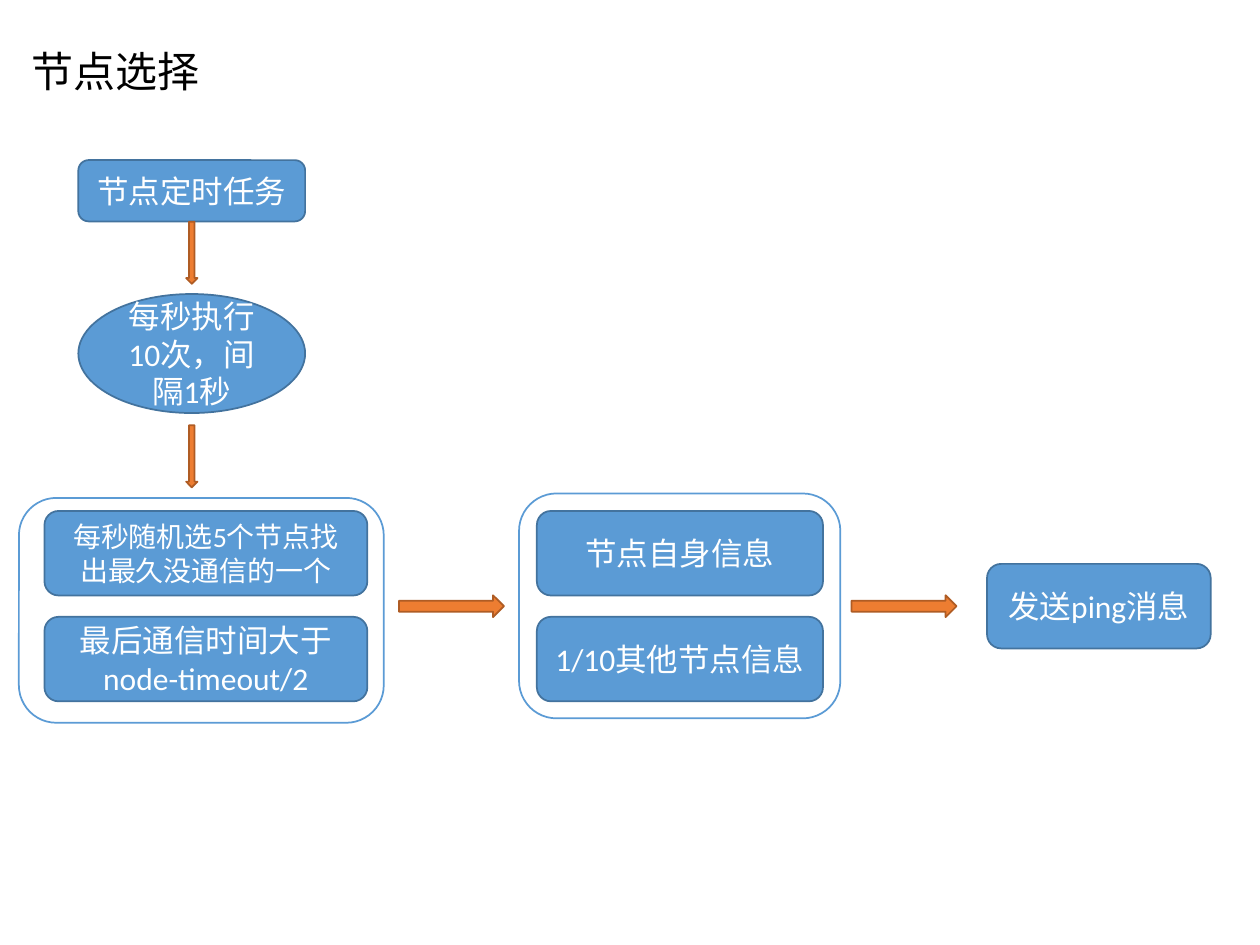
from lxml.etree import SubElement
from pptx import Presentation
from pptx.dml.color import RGBColor
from pptx.enum.shapes import MSO_SHAPE
from pptx.enum.text import MSO_ANCHOR, PP_ALIGN
from pptx.oxml.ns import qn
from pptx.util import Pt

WHITE = RGBColor(0xFF, 0xFF, 0xFF)
BLACK = RGBColor(0x00, 0x00, 0x00)
BLUE = RGBColor(0x5B, 0x9B, 0xD5)
DARK_BLUE = RGBColor(0x43, 0x73, 0x9E)
ORANGE = RGBColor(0xED, 0x7D, 0x31)
DARK_ORANGE = RGBColor(0xAF, 0x5C, 0x24)

LATIN_FONT = "Calibri"
CHINESE_FONT = "Noto Sans CJK SC"


def write_text(frame, text, size=18, color=WHITE, font=LATIN_FONT,
               align=PP_ALIGN.CENTER, anchor=MSO_ANCHOR.MIDDLE):
    frame.word_wrap = True
    frame.vertical_anchor = anchor
    para = frame.paragraphs[0]
    para.alignment = align
    span = para.add_run()
    span.text = text
    span.font.size = Pt(size)
    span.font.color.rgb = color
    span.font.name = font
    SubElement(span.font._element, qn("a:ea")).set("typeface", CHINESE_FONT)


class FlowPage:
    """Holds the current slide and draws the flow chart's elements, in points."""

    def __init__(self, deck):
        self.page = deck.slides.add_slide(deck.slide_layouts[5])

    def title(self, text, left, top, width, height):
        box = self.page.shapes.title
        box.left, box.top = Pt(left), Pt(top)
        box.width, box.height = Pt(width), Pt(height)
        write_text(box.text_frame, text, size=24, color=BLACK, font=CHINESE_FONT,
                   align=PP_ALIGN.LEFT, anchor=MSO_ANCHOR.TOP)

    def shape(self, kind, left, top, width, height, fill, line):
        box = self.page.shapes.add_shape(kind, Pt(left), Pt(top), Pt(width), Pt(height))
        box.shadow.inherit = False
        box.fill.solid()
        box.fill.fore_color.rgb = fill
        box.line.color.rgb = line
        box.line.width = Pt(1)
        return box

    def step(self, text, left, top, width, height, size=18,
             kind=MSO_SHAPE.FLOWCHART_ALTERNATE_PROCESS):
        box = self.shape(kind, left, top, width, height, BLUE, DARK_BLUE)
        write_text(box.text_frame, text, size=size)

    def group_frame(self, left, top, width, height):
        self.shape(MSO_SHAPE.FLOWCHART_ALTERNATE_PROCESS, left, top, width, height,
                   WHITE, BLUE)

    def down_arrow(self, center, top):
        width = 6.5
        self.shape(MSO_SHAPE.DOWN_ARROW, center - width / 2, top, width, 35.5,
                   ORANGE, DARK_ORANGE)

    def right_arrow(self, left, middle):
        height = 12.5
        self.shape(MSO_SHAPE.RIGHT_ARROW, left, middle - height / 2, 60, height,
                   ORANGE, DARK_ORANGE)


def main():
    deck = Presentation()
    deck.slide_width, deck.slide_height = Pt(720), Pt(540)
    flow = FlowPage(deck)
    flow.title("节点选择", 10.8, 22.3, 286, 36)

    # Timer column
    left, width = 44.8, 129.6
    center = left + width / 2
    flow.step("节点定时任务", left, 91.5, width, 35)
    flow.down_arrow(center, 126.7)
    flow.step("每秒执行10次，间隔1秒", left, 168, width, 68, kind=MSO_SHAPE.OVAL)
    flow.down_arrow(center, 243)

    # Node choice, message content and sending, left to right
    step_height = 48.3
    upper, lower = 292, 352.5
    middle = (upper + lower + step_height) / 2

    flow.group_frame(10.8, 284.5, 208.5, 128.5)
    flow.step("每秒随机选5个节点找出最久没通信的一个", 25.4, upper, 184.5, step_height, size=16)
    flow.step("最后通信时间大于node-timeout/2", 25.4, lower, 184.5, step_height)
    flow.right_arrow(228, middle)

    flow.group_frame(296.6, 282, 183.6, 128.5)
    flow.step("节点自身信息", 306.8, upper, 163.5, step_height)
    flow.step("1/10其他节点信息", 306.8, lower, 163.5, step_height)
    flow.right_arrow(486.6, middle)

    flow.step("发送ping消息", 564, middle - step_height / 2, 127.8, step_height)
    deck.save("out.pptx")


if __name__ == "__main__":
    main()
